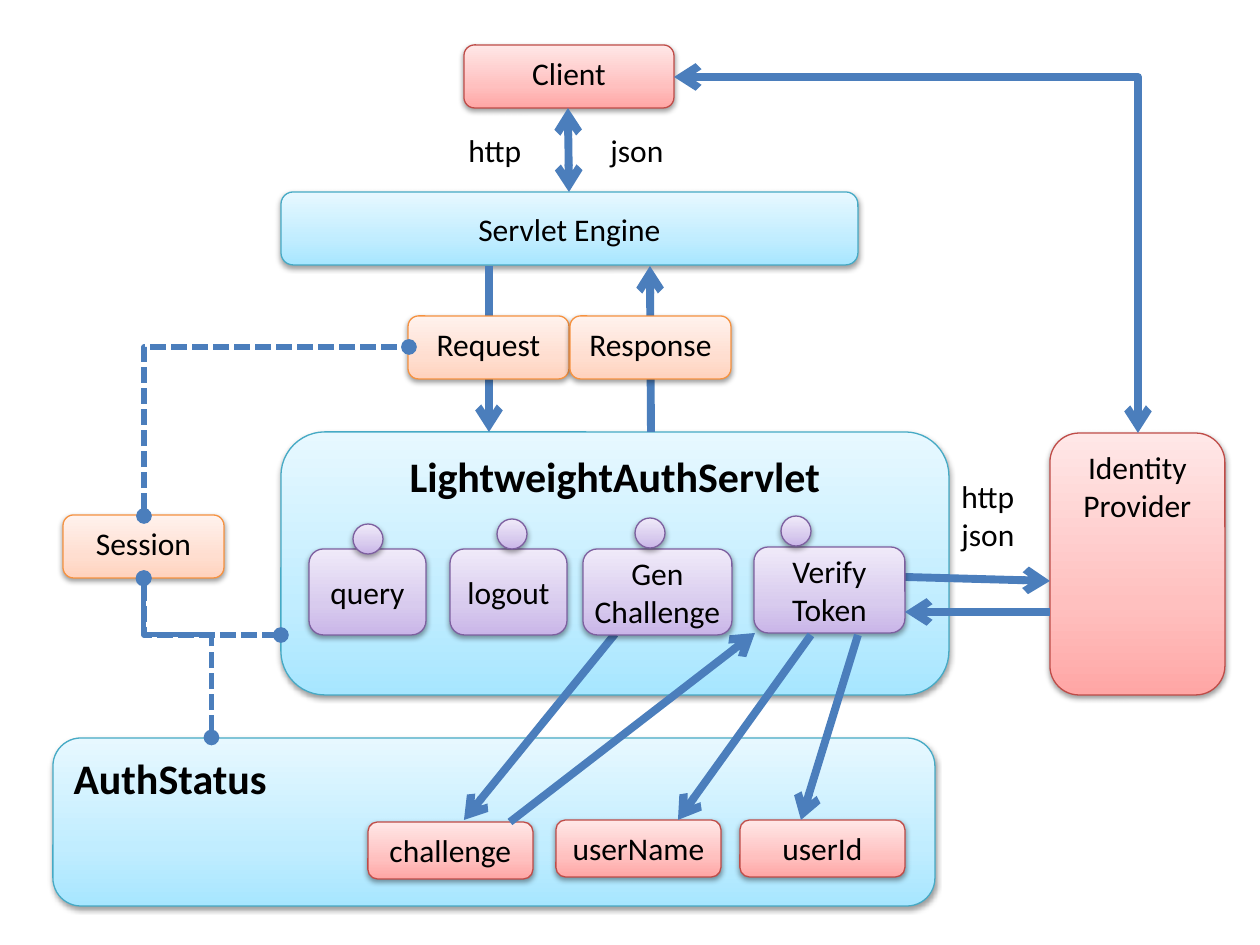
"""Build the LightweightAuthServlet architecture slide."""
from lxml import etree
from pptx import Presentation
from pptx import util as u
from pptx.dml.color import RGBColor
from pptx.enum import shapes, text
from pptx.oxml import parse_xml
from pptx.oxml.ns import nsdecls, qn

SCALE = 914400 // 126
BLACK = RGBColor(0, 0, 0)
ARROW = RGBColor(0x4B, 0x7E, 0xBC)
BLUE = RGBColor(0x46, 0xAA, 0xC5), ("A7E6FF", "C1EDFF", "E7F8FF")
ORANGE = RGBColor(0xF6, 0x92, 0x40), ("FFD2BD", "FFDED0", "FFF2ED")
RED = RGBColor(0xBF, 0x4C, 0x48), ("FFA6A5", "FFC0BF", "FFE7E7")
PURPLE = RGBColor(0x7D, 0x60, 0xA0), ("C9B5E8", "D8CBEE", "F0EAF9")
STOPS = 0, 35000, 100000

BODY = dict(name="Calibri", size=u.Pt(18))
TITLE = dict(name="Calibri", size=u.Pt(24), bold=True)
TOP = dict(vertical_anchor=text.MSO_ANCHOR.TOP, word_wrap=True)
MIDDLE = dict(vertical_anchor=text.MSO_ANCHOR.MIDDLE, word_wrap=True)
TIGHT = dict(MIDDLE, margin_left=0, margin_right=0, margin_top=0, margin_bottom=0)
LABEL = dict(vertical_anchor=text.MSO_ANCHOR.TOP, word_wrap=False,
             auto_size=text.MSO_AUTO_SIZE.SHAPE_TO_FIT_TEXT)
LEFT, CENTER = text.PP_ALIGN.LEFT, text.PP_ALIGN.CENTER

PANELS = [
    ("Servlet Engine", (281, 192, 577, 73), BLUE, MIDDLE, BODY, CENTER),
    ("LightweightAuthServlet", (281, 432, 668, 263), BLUE, TOP, TITLE, CENTER),
    ("AuthStatus", (53, 738, 882, 168), BLUE, TOP, TITLE, LEFT),
    ("Identity\nProvider", (1050, 433, 175, 262), RED, TOP, BODY, CENTER),
    ("Client", (464, 45, 210, 63), RED, TOP, BODY, CENTER),
]
SMALL_BOXES = [
    ("Session", (63, 515, 161, 63), ORANGE),
    ("challenge", (368, 822, 165, 57), RED),
    ("userName", (556, 820, 165, 57), RED),
    ("userId", (740, 820, 165, 57), RED),
]
MESSAGES = [("Request", (408, 316, 161, 63), ORANGE),
            ("Response", (570, 316, 161, 63), ORANGE)]
ACTIONS = [
    ("query", (309, 549, 117, 86), (353, 524)),
    ("logout", (450, 549, 117, 86), (497, 519)),
    ("Gen\nChallenge", (583, 549, 149, 86), (635, 518)),
    ("Verify\nToken", (754, 547, 151, 86), (781, 516)),
]
DOT = 30
LABELS = [("http\njson", (949, 471, 79, 89)), ("json", (598, 125, 79, 50)),
          ("http", (456, 125, 79, 50))]

BACK_ARROWS = [
    (489, 266, 489, 432), (651, 432, 650, 266), (615, 634, 464, 820),
    (510, 822, 755, 633), (905, 577, 1050, 581),
]
FRONT_ARROWS = [(811, 635, 678, 820), (858, 635, 801, 820), (1050, 612, 905, 612)]
ELBOWS = [
    ("bentConnector3", (98, 624, 159, 68), dict(rot=270, flipV=1), 64600, True),
    ("bentConnector2", (184, 538, 57, 137), dict(rot=270, flipH=1), None, True),
    ("bentConnector2", (674, 77, 464, 356), {}, None, False),
    ("bentConnector2", (192, 299, 169, 265), dict(rot=90, flipH=1, flipV=1), None, True),
]


def px(*lengths):
    return [u.Emu(n * SCALE) for n in lengths]


def apply(target, values):
    for name, value in values.items():
        setattr(target, name, value)


def write(s, words, frame, font, align):
    tf = s.text_frame
    apply(tf, frame)
    for i, line in enumerate(words.split("\n")):
        p = tf.add_paragraph() if i else tf.paragraphs[0]
        p.alignment = align
        r = p.add_run()
        r.text = line
        apply(r.font, font)
        r.font.color.rgb = BLACK


def block(kind, at, palette):
    s = sl.shapes.add_shape(kind, *px(*at))
    edge, colors = palette
    s.line.color.rgb = edge
    s.line.width = u.Pt(0.75)
    stops = "".join(f'<a:gs pos="{pos}"><a:srgbClr val="{c}"/></a:gs>'
                    for pos, c in zip(STOPS, colors))
    s._element.spPr.find(qn("a:ln")).addprevious(parse_xml(
        f'<a:gradFill {nsdecls("a")} rotWithShape="1"><a:gsLst>{stops}</a:gsLst>'
        '<a:lin ang="16200000" scaled="0"/></a:gradFill>'))
    s._element.spPr.append(parse_xml(
        f'<a:effectLst {nsdecls("a")}><a:outerShdw blurRad="40000" dist="20000" '
        'dir="5400000" rotWithShape="0"><a:srgbClr val="000000">'
        '<a:alpha val="38000"/></a:srgbClr></a:outerShdw></a:effectLst>'))
    return s


def box(words, at, palette, frame=TOP, font=BODY, align=CENTER):
    s = block(shapes.MSO_SHAPE.ROUNDED_RECTANGLE, at, palette)
    write(s, words, frame, font, align)


def connect(kind, ends, width=4.5, head=None, tail="arrow", dash=None):
    c = sl.shapes.add_connector(kind, *px(*ends))
    c.line.color.rgb = ARROW
    c.line.width = u.Pt(width)
    spPr = c._element.spPr
    ln = spPr.find(qn("a:ln"))
    for tag, key, value in (("a:prstDash", "val", dash), ("a:headEnd", "type", head),
                            ("a:tailEnd", "type", tail)):
        if value:
            etree.SubElement(ln, qn(tag)).set(key, value)
    etree.SubElement(spPr, qn("a:effectLst"))
    return spPr


def elbow(preset, at, turn, adjust, dashed):
    x, y, w, h = at
    style = (dict(width=3, head="oval", tail="oval", dash="sysDash") if dashed
             else dict(head="arrow"))
    spPr = connect(shapes.MSO_CONNECTOR.ELBOW, (x, y, x + w, y + h), **style)
    for name, value in turn.items():
        spPr.find(qn("a:xfrm")).set(name, str(value * 60000 if name == "rot" else value))
    geom = spPr.find(qn("a:prstGeom"))
    geom.set("prst", preset)
    if adjust:
        guide = etree.SubElement(geom.find(qn("a:avLst")), qn("a:gd"))
        guide.set("name", "adj1")
        guide.set("fmla", f"val {adjust}")


prs = Presentation()
prs.slide_width, prs.slide_height = u.Inches(10), u.Inches(7.5)
sl = prs.slides.add_slide(prs.slide_layouts[6])
STRAIGHT = shapes.MSO_CONNECTOR.STRAIGHT

for item in PANELS + SMALL_BOXES:
    box(*item)
for ends in BACK_ARROWS:
    connect(STRAIGHT, ends)
for item in MESSAGES:
    box(*item)
for words, at, dot in ACTIONS:
    box(words, at, PURPLE, TIGHT)
    block(shapes.MSO_SHAPE.OVAL, (*dot, DOT, DOT), PURPLE)
for ends in FRONT_ARROWS:
    connect(STRAIGHT, ends)
connect(STRAIGHT, (569, 192, 568, 108), head="arrow")
for item in ELBOWS:
    elbow(*item)
for words, at in LABELS:
    write(sl.shapes.add_textbox(*px(*at)), words, LABEL, BODY, LEFT)

prs.save("out.pptx")
